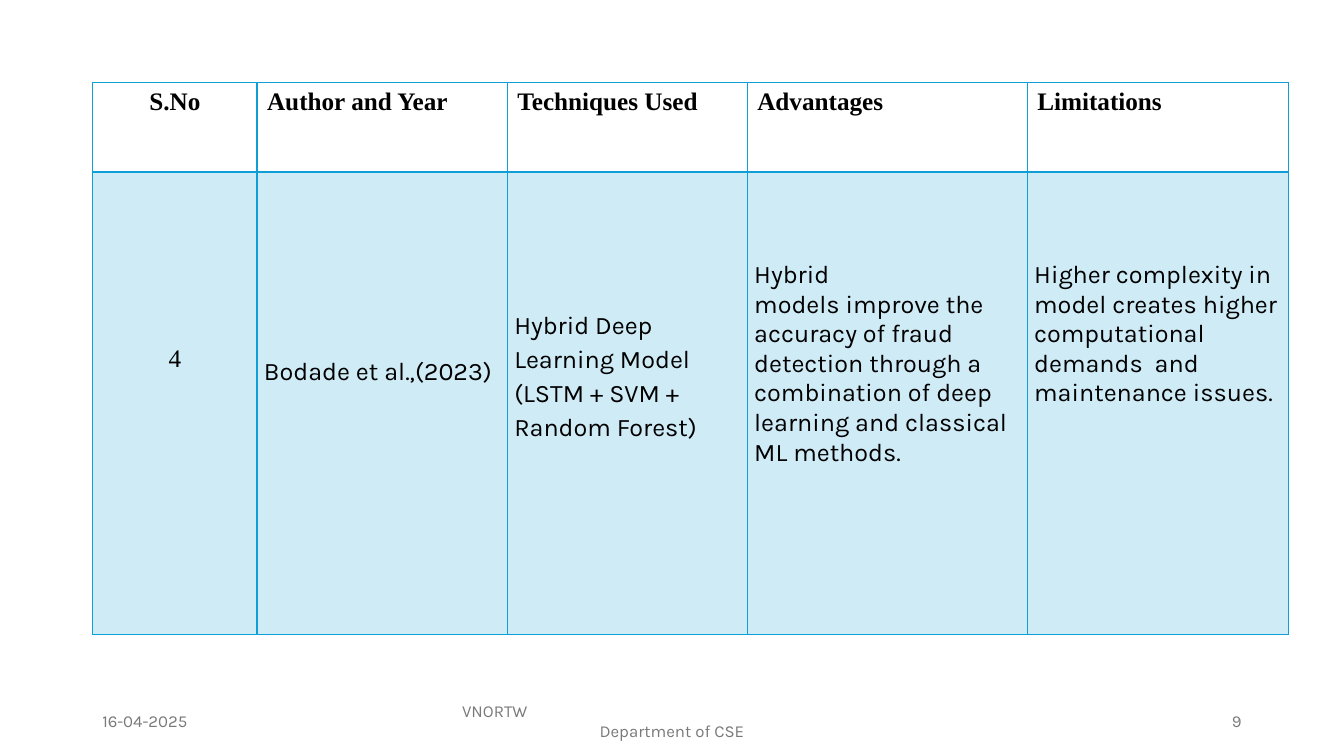
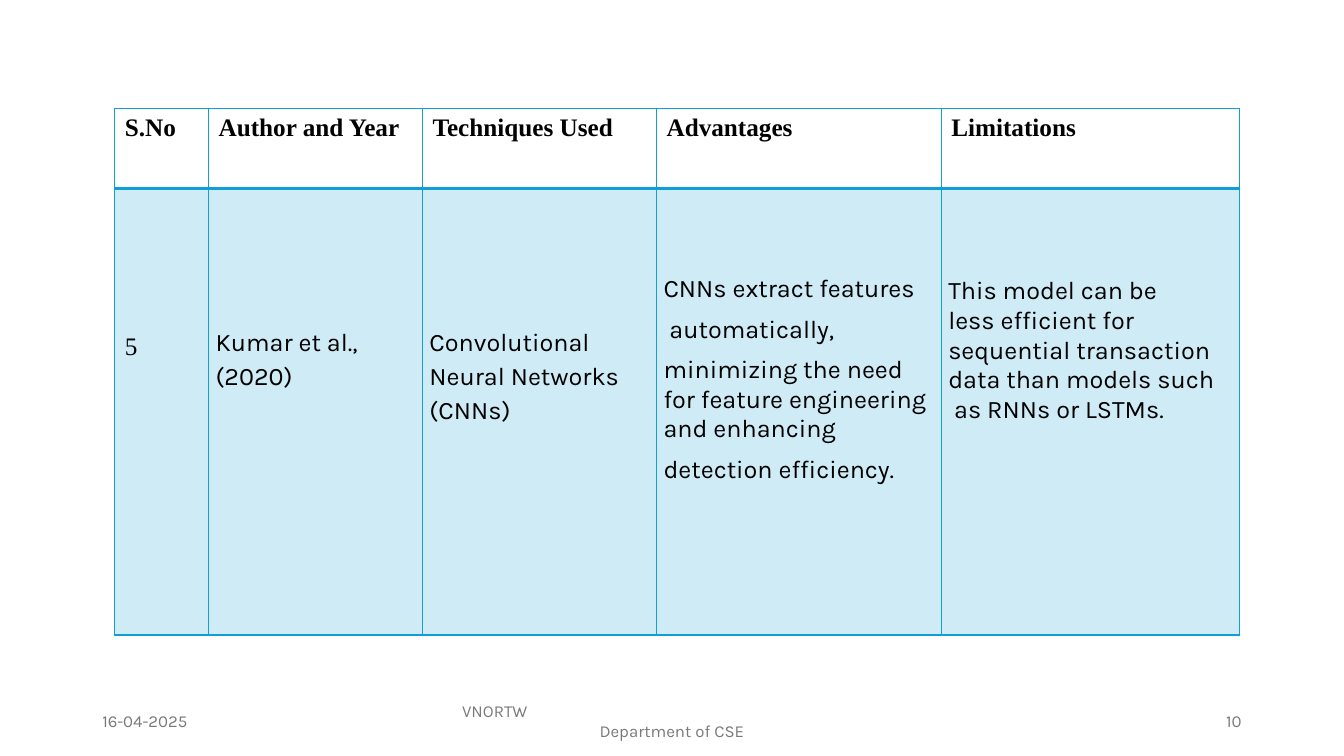
"""Build two literature survey slides, each with one reviewed paper."""
from lxml import etree
from pptx import Presentation
from pptx.dml.color import RGBColor
from pptx.enum.text import MSO_ANCHOR, PP_ALIGN
from pptx.oxml.ns import qn
from pptx.util import Pt

LEFT, CENTER, RIGHT = PP_ALIGN.LEFT, PP_ALIGN.CENTER, PP_ALIGN.RIGHT
MIDDLE = MSO_ANCHOR.MIDDLE

BLACK = RGBColor(0x00, 0x00, 0x00)
GRAY = RGBColor(0x79, 0x79, 0x79)
BLUE = RGBColor(0x0F, 0x9E, 0xD5)

SERIF = {"name": "Times New Roman", "size": Pt(18), "bold": False}
HEADING = SERIF | {"bold": True}
BODY = {"name": "Karla", "size": Pt(18), "bold": False}
FOOTER = {"name": "Karla", "size": Pt(12), "bold": False}

TIGHT = {"alignment": LEFT}
SPACED = {"alignment": LEFT, "space_after": Pt(8)}
LOOSE = SPACED | {"line_spacing": 1.15}

HEADINGS = ["S.No", "Author and Year", "Techniques Used", "Advantages", "Limitations"]
PAPERS = [
    {
        "page": "9",
        "origin": (66.2, 59),
        "widths": (117.4, 178.8, 171.4, 200, 186.5),
        "heights": (64, 330.4),
        "number_align": CENTER,
        "number": ("4", 123.2),
        "findings": [
            (["Bodade et al.,(2023)"], 128.8, LOOSE),
            (["Hybrid Deep Learning Model (LSTM + SVM + Random Forest)"], 96.6, LOOSE),
            (["Hybrid|models improve the accuracy of fraud detection through a",
              "combination of deep learning and classical ML methods."], 63.1, TIGHT),
            (["Higher complexity in model creates higher computational",
              "demands  and maintenance issues."], 63.1, TIGHT),
        ],
    },
    {
        "page": "10",
        "origin": (82, 77.6),
        "widths": (67, 152.8, 167.2, 203.4, 213),
        "heights": (57, 319),
        "number_align": LEFT,
        "number": ("5", 103.3),
        "findings": [
            (["Kumar et al., (2020)"], 96.6, LOOSE),
            (["Convolutional Neural Networks (CNNs)"], 96.6, LOOSE),
            (["CNNs extract features", " automatically,",
              "minimizing the need for feature engineering and enhancing",
              "detection efficiency."], 61.2, SPACED),
            (["This model can be|less efficient for sequential transaction data than models such",
              " as RNNs or LSTMs."], 63.1, TIGHT),
        ],
    },
]


def set_values(target, values):
    """Set every attribute named in values on target."""
    for attribute, value in values.items():
        setattr(target, attribute, value)


class SurveyDeck:
    """Holds the presentation, its style and the current slide."""

    def __init__(self):
        """Start an empty widescreen presentation."""
        self.presentation = Presentation()
        set_values(self.presentation, {"slide_width": Pt(960), "slide_height": Pt(540)})
        self.slide = None

    def add_slide(self):
        """Open a new blank slide."""
        self.slide = self.presentation.slides.add_slide(self.presentation.slide_layouts[6])

    def put_text(self, frame, paragraphs, font, layout, color=BLACK):
        """Fill a text frame, breaking lines at each bar."""
        frame.word_wrap = True
        for index, text in enumerate(paragraphs):
            paragraph = frame.add_paragraph() if index else frame.paragraphs[0]
            set_values(paragraph, layout)
            for position, line in enumerate(text.split("|")):
                if position:
                    paragraph.add_line_break()
                run = paragraph.add_run()
                run.text = line
                set_values(run.font, font)
                run.font.color.rgb = color

    def label(self, left, width, paragraphs, align):
        """Add a footer text box and return its text frame."""
        frame = self.slide.shapes.add_textbox(Pt(left), Pt(500.5), Pt(width), Pt(28.8)).text_frame
        frame.vertical_anchor = MIDDLE
        self.put_text(frame, paragraphs, FOOTER, {"alignment": align}, GRAY)
        return frame

    def footer(self, page):
        """Add the date, the department and the page number."""
        self.label(66, 216, ["16-04-2025"], LEFT)
        department = self.label(318, 324, ["VNORTW", "Department of CSE"], CENTER)
        institute = department.paragraphs[0]
        institute.alignment = LEFT
        institute._p.get_or_add_pPr().set("marL", str(Pt(5)))
        self.label(678, 216, [page], RIGHT)

    def border(self, cell, top, bottom):
        """Draw the four sides of a cell."""
        properties = cell._tc.get_or_add_tcPr()
        for side, weight in (("L", 1), ("R", 1), ("T", top), ("B", bottom)):
            line = etree.SubElement(properties, qn(f"a:ln{side}"), w=str(Pt(weight)))
            fill = etree.SubElement(line, qn("a:solidFill"))
            etree.SubElement(fill, qn("a:srgbClr"), val=str(BLUE))

    def tint(self, cell):
        """Fill a cell with blue at a fifth of full strength."""
        cell.fill.solid()
        cell.fill.fore_color.rgb = BLUE
        color = cell._tc.tcPr.find(f"{qn('a:solidFill')}/{qn('a:srgbClr')}")
        etree.SubElement(color, qn("a:alpha"), val="20000")

    def survey_table(self, paper):
        """Add the table that reviews one paper."""
        left, top = paper["origin"]
        widths, heights = paper["widths"], paper["heights"]
        table = self.slide.shapes.add_table(
            len(heights), len(widths), Pt(left), Pt(top), Pt(sum(widths)), Pt(sum(heights))).table
        set_values(table, {"first_row": False, "horz_banding": False})
        for column, width in zip(table.columns, widths):
            column.width = Pt(width)
        for row, height in zip(table.rows, heights):
            row.height = Pt(height)

        number_layout = {"alignment": paper["number_align"]}
        for index, heading in enumerate(HEADINGS):
            cell = table.cell(0, index)
            self.border(cell, 1, 2)
            cell.fill.background()
            self.put_text(cell.text_frame, [heading], HEADING, TIGHT if index else number_layout)

        number, number_lead = paper["number"]
        entries = [([number], number_lead, number_layout)] + paper["findings"]
        for index, (paragraphs, lead, layout) in enumerate(entries):
            cell = table.cell(1, index)
            self.border(cell, 2, 1)
            self.tint(cell)
            cell.margin_top = Pt(lead)
            if index:
                set_values(cell, {"margin_left": Pt(5), "margin_right": Pt(5), "margin_bottom": 0})
            self.put_text(cell.text_frame, paragraphs, BODY if index else SERIF, layout)


def main():
    """Build and save the deck."""
    deck = SurveyDeck()
    for paper in PAPERS:
        deck.add_slide()
        deck.survey_table(paper)
        deck.footer(paper["page"])
    deck.presentation.save("out.pptx")


if __name__ == "__main__":
    main()
